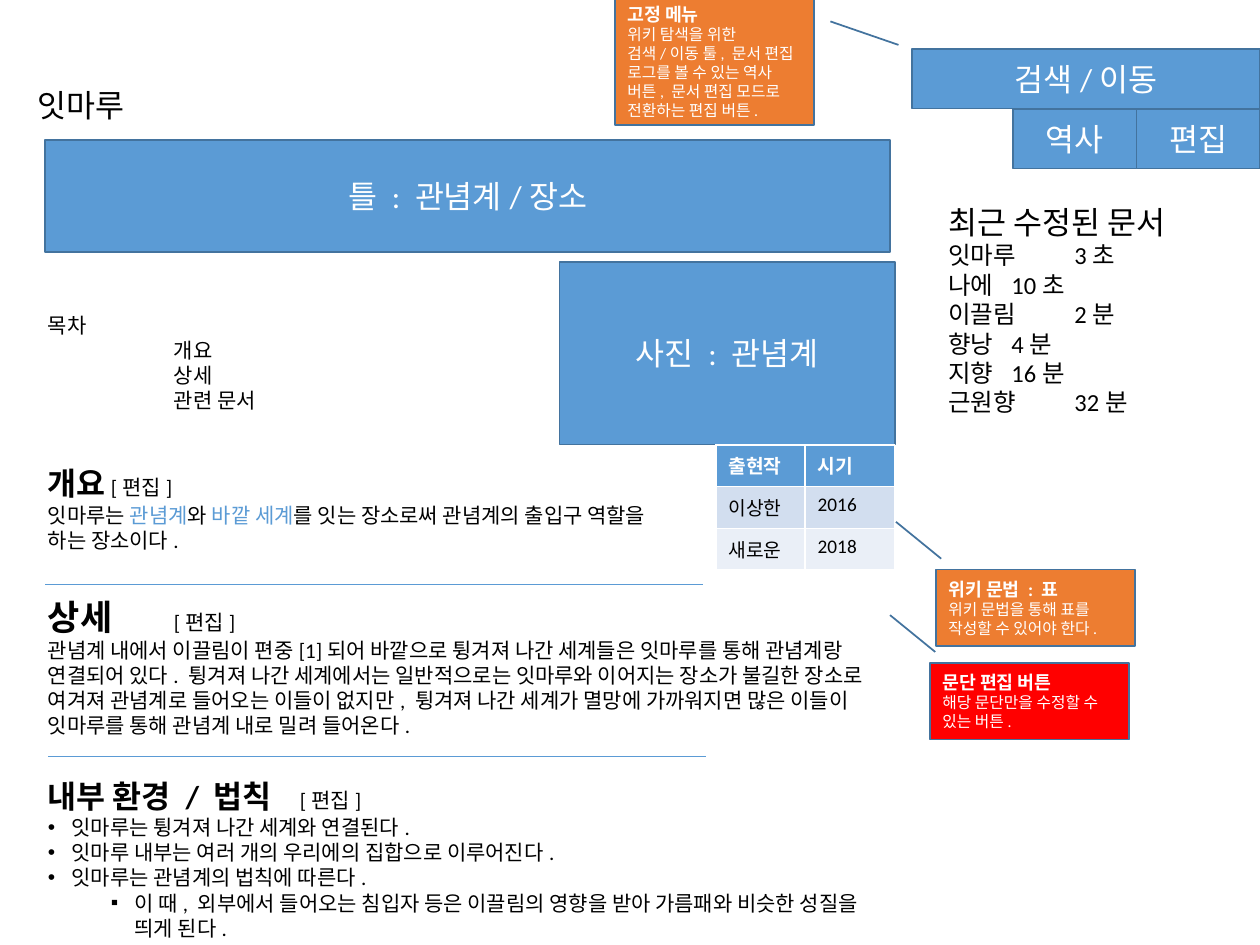
from dataclasses import dataclass

from lxml.etree import SubElement
from pptx import Presentation
from pptx.dml.color import RGBColor
from pptx.enum.shapes import MSO_CONNECTOR, MSO_SHAPE
from pptx.enum.text import MSO_ANCHOR, MSO_AUTO_SIZE, PP_ALIGN
from pptx.oxml.ns import qn
from pptx.util import Cm, Pt


@dataclass(frozen=True)
class Theme:
    font: str = "Calibri"
    ink: str = "000000"
    paper: str = "FFFFFF"
    blue: str = "5B9BD5"
    outline: str = "43739E"
    orange: str = "ED7D31"
    red: str = "FF0000"
    bands: tuple = ("D2DEEF", "EAEFF7")
    large: float = 20
    heading: float = 18
    listing: float = 14
    body: float = 12
    cell: float = 11
    label: float = 10.5
    note: float = 9


THEME = Theme()

# Content: boxes are left, top, width, height in cm
PAGE_TITLE = "잇마루"
BUTTON_W, BUTTON_H = 2.49, 1.2
PANELS = [
    ("검색/이동", (18.39, 0.99, 7.01, BUTTON_H)),
    *((name, (20.42 + i * BUTTON_W, 2.2, BUTTON_W, BUTTON_H))
      for i, name in enumerate(["역사", "편집"])),
    ("틀 : 관념계/장소", (0.91, 2.82, 17.04, 2.26)),
    ("사진 : 관념계", (11.28, 5.28, 6.76, 3.68)),
]

EDIT = "\t[편집]"
BULLET, SUB_BULLET = (0.48, "•"), (1.75, "▪")
# kind, runs as (text, size, bold, colour), and options
PLAIN = (THEME.body, False, THEME.ink)
LINK = (THEME.body, False, THEME.blue)


def plain(text, **options):
    return [(text, *PLAIN)], options


def section(text, size, gap, tab):
    return [(text, size, True, THEME.ink), (EDIT, *PLAIN)], {"gap": gap, "tab": tab}


ARTICLE = [
    plain("목차"),
    *(plain(entry, indent=2.54) for entry in ["개요", "상세", "관련 문서"]),
    section("개요", THEME.heading, 29.3, 10.16),
    ([("잇마루는 ", *PLAIN), ("관념계", *LINK), ("와 ", *PLAIN), ("바깥 세계", *LINK),
      ("를 잇는 장소로써 관념계의 출입구 역할을 ", *PLAIN)], {}),
    plain("하는 장소이다."),
    section("상세", THEME.large, 24.4, 15.24),
    plain("관념계 내에서 이끌림이 편중[1]되어 바깥으로 튕겨져 나간 세계들은 잇마루를 통해 "
          "관념계랑 연결되어 있다. 튕겨져 나간 세계에서는 일반적으로는 잇마루와 이어지는 장소가 "
          "불길한 장소로 여겨져 관념계로 들어오는 이들이 없지만, 튕겨져 나간 세계가 멸망에 "
          "가까워지면 많은 이들이 잇마루를 통해 관념계 내로 밀려 들어온다."),
    section("내부 환경 / 법칙", THEME.heading, 22, 15.24),
    plain("잇마루는 튕겨져 나간 세계와 연결된다.", bullet=BULLET),
    plain("잇마루 내부는 여러 개의 우리에의 집합으로 이루어진다.", bullet=BULLET),
    plain("잇마루는 관념계의 법칙에 따른다.", bullet=BULLET),
    plain("이 때, 외부에서 들어오는 침입자 등은 이끌림의 영향을 받아 가름패와 비슷한 성질을 "
          "띄게 된다.", bullet=SUB_BULLET, level=1),
]

RECENT_TITLE = "최근 수정된 문서"
RECENT = [("잇마루", "3초"), ("나에", "10초"), ("이끌림", "2분"),
          ("향낭", "4분"), ("지향", "16분"), ("근원향", "32분")]
APPEARANCES = [("출현작", "시기"), ("이상한", "2016"), ("새로운", "2018")]
RULES = [(0.91, 11.79), (0.97, 15.24)]
RULE_LENGTH = 13.26

BELOW_POINTER = (-0.14, 0.974, -0.619, 1.201)
CALLOUTS = [
    ("고정 메뉴", "위키 탐색을 위한 검색/이동 툴, 문서 편집 로그를 볼 수 있는 역사 버튼, "
     "문서 편집 모드로 전환하는 편집 버튼.",
     (12.4, -0.05, 4.01, 2.57), THEME.orange, (0.188, -0.083, 0.372, -0.425)),
    ("문단 편집 버튼", "해당 문단만을 수정할 수 있는 버튼.",
     (18.75, 13.36, 4.01, 1.55), THEME.red, BELOW_POINTER),
    ("위키 문법 : 표", "위키 문법을 통해 표를 작성할 수 있어야 한다.",
     (18.87, 11.48, 4.01, 1.55), THEME.orange, BELOW_POINTER),
]


# Helpers
def box(values):
    return [Cm(v) for v in values]


def place(shape, values):
    shape.left, shape.top, shape.width, shape.height = box(values)


def style(run, size, bold, colour):
    run.font.name = THEME.font
    run.font.size = Pt(size)
    run.font.bold = bold
    run.font.color.rgb = RGBColor.from_string(colour)


def write(paragraph, runs, gap=0, indent=0, bullet=None, tab=None, level=0):
    for text, *look in runs:
        run = paragraph.add_run()
        run.text = text
        style(run, *look)
    paragraph.alignment = PP_ALIGN.LEFT
    paragraph.level = level
    paragraph.space_before = Pt(gap)
    props = paragraph._p.get_or_add_pPr()
    margin, mark = bullet or (indent, None)
    props.set("marL", str(Cm(margin)))
    props.set("indent", str(-Cm(BULLET[0]) if mark else 0))
    if mark:
        SubElement(props, qn("a:buFont"), typeface="Arial")
        SubElement(props, qn("a:buChar"), char=mark)
    else:
        SubElement(props, qn("a:buNone"))
    if tab:
        stops = SubElement(props, qn("a:tabLst"))
        SubElement(stops, qn("a:tab"), pos=str(Cm(tab)), algn="l")


def fill_text(frame, paragraphs, wrap=True, anchor=MSO_ANCHOR.TOP):
    frame.word_wrap = wrap
    frame.auto_size = MSO_AUTO_SIZE.NONE
    frame.vertical_anchor = anchor
    for i, (runs, options) in enumerate(paragraphs):
        write(frame.add_paragraph() if i else frame.paragraphs[0], runs, **options)


def add_box(kind, values, colour):
    shape = slide.shapes.add_shape(kind, *box(values))
    shape.shadow.inherit = False
    shape.fill.solid()
    shape.fill.fore_color.rgb = RGBColor.from_string(colour)
    shape.line.color.rgb = RGBColor.from_string(THEME.outline)
    shape.line.width = Pt(1)
    return shape


deck = Presentation()
deck.slide_width, deck.slide_height = Cm(25.4), Cm(19.05)
slide = deck.slides.add_slide(deck.slide_layouts[1])

# Page title and article
title, article = slide.placeholders
place(title, (0.51, 1.6, 2.44, 1.02))
fill_text(title.text_frame,
          [([(PAGE_TITLE, THEME.heading, False, THEME.ink)], {})], wrap=False)
place(article, (0.71, 6.17, 17.7, 13))
fill_text(article.text_frame, ARTICLE)

# Recently changed pages
recent = slide.shapes.add_textbox(*box((18.87, 3.96, 7.47, 4.62)))
fill_text(recent.text_frame, [
    ([(RECENT_TITLE, THEME.heading, False, THEME.ink)], {}),
    *(([(f"{page}\t{age}", THEME.listing, False, THEME.ink)], {"tab": 5.08})
      for page, age in RECENT)])

# Menu buttons, template banner and photo
for label, values in PANELS:
    panel = add_box(MSO_SHAPE.RECTANGLE, values, THEME.blue)
    panel.text_frame.text = label
    panel.text_frame.vertical_anchor = MSO_ANCHOR.MIDDLE
    caption = panel.text_frame.paragraphs[0]
    caption.alignment = PP_ALIGN.CENTER
    style(caption.runs[0], THEME.heading, False, THEME.paper)

# Appearance table
COLUMN_W, ROW_H = 1.8, 0.84
appearances = slide.shapes.add_table(
    len(APPEARANCES), 2,
    *box((14.43, 8.97, 2 * COLUMN_W, len(APPEARANCES) * ROW_H))).table
for r, row in enumerate(APPEARANCES):
    for c, value in enumerate(row):
        cell = appearances.cell(r, c)
        cell.text = value
        cell.fill.solid()
        cell.fill.fore_color.rgb = RGBColor.from_string((THEME.blue, *THEME.bands)[r])
        style(cell.text_frame.paragraphs[0].runs[0], THEME.cell, r == 0,
              THEME.ink if r else THEME.paper)

# Section rules
for left, top in RULES:
    rule = slide.shapes.add_connector(
        MSO_CONNECTOR.STRAIGHT, *box((left, top, left + RULE_LENGTH, top)))
    rule.line.color.rgb = RGBColor.from_string(THEME.blue)
    rule.line.width = Pt(0.5)
    SubElement(rule._element.spPr, qn("a:effectLst"))

# Mirrored callouts
for heading, detail, values, colour, pointer in CALLOUTS:
    callout = add_box(MSO_SHAPE.LINE_CALLOUT_1, values, colour)
    callout._element.spPr.xfrm.set("flipH", "1")
    for i, ratio in enumerate(pointer):
        callout.adjustments[i] = ratio
    fill_text(callout.text_frame, [
        ([(heading, THEME.label, True, THEME.paper)], {}),
        ([(detail, THEME.note, False, THEME.paper)], {})], anchor=MSO_ANCHOR.MIDDLE)

deck.save("out.pptx")
